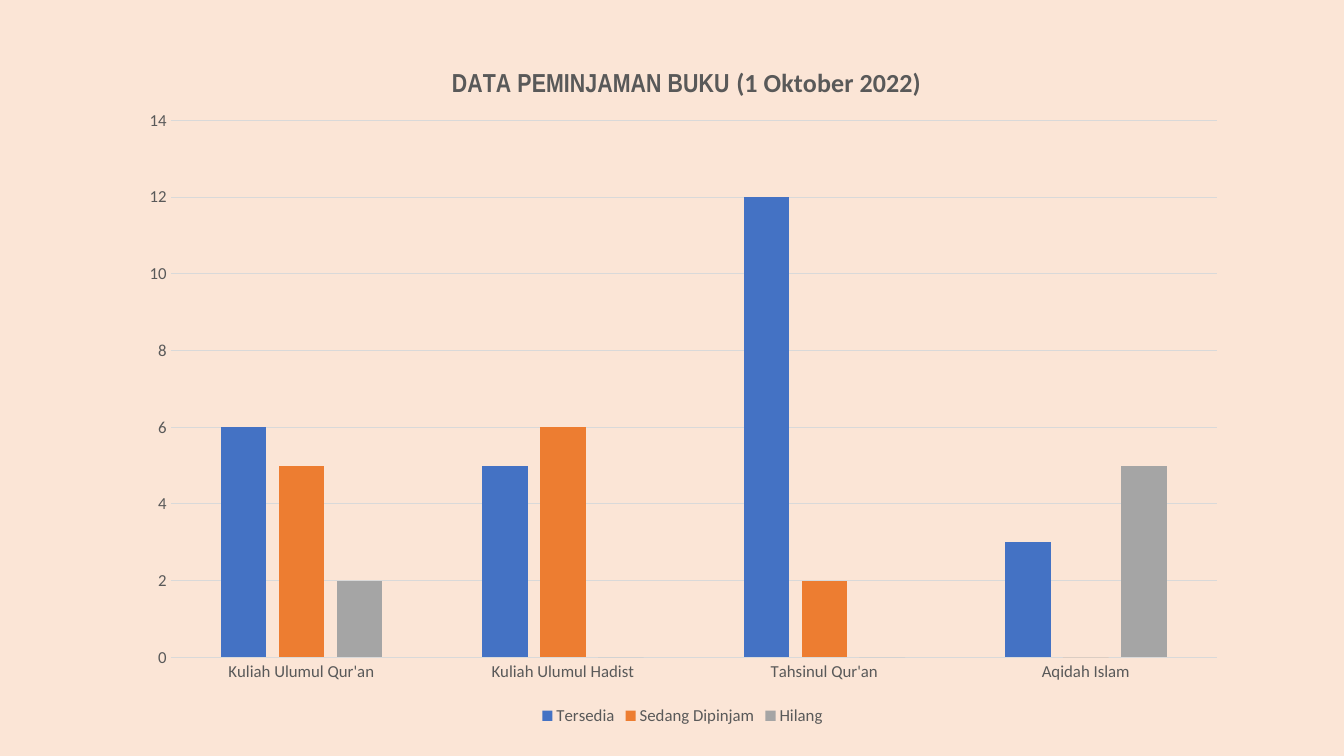
from pptx import Presentation
from pptx.chart.data import CategoryChartData
from pptx.dml.color import RGBColor
from pptx.enum.chart import XL_CHART_TYPE, XL_LEGEND_POSITION, XL_TICK_MARK
from pptx.oxml import parse_xml
from pptx.oxml.ns import qn
from pptx.util import Cm, Pt

TITLE = [("DATA PEMINJAMAN BUKU ", "Arial Narrow"), ("(1 Oktober 2022)", "Calibri")]
BOOKS = ["Kuliah Ulumul Qur'an", "Kuliah Ulumul Hadist", "Tahsinul Qur'an", "Aqidah Islam"]
LOANS = [
    ("Tersedia", (6, 5, 12, 3), "4472C4"),
    ("Sedang Dipinjam", (5, 6, 2, 0), "ED7D31"),
    ("Hilang", (2, 0, 0, 5), "A5A5A5"),
]
THEME = {
    "back": "FBE5D6", "ink": "595959", "grid": "D9D9D9",
    "font": "Calibri", "label": 12, "title": 18.6, "line": 0.75,
}
NS = "http://schemas.openxmlformats.org/drawingml/2006/chart"


def color(name):
    return RGBColor.from_string(THEME.get(name, name))


def style(font, size="label", face=THEME["font"], bold=False):
    font.size = Pt(THEME[size])
    font.name = face
    font.bold = bold
    font.color.rgb = color("ink")


def rule(line):
    line.color.rgb = color("grid")
    line.width = Pt(THEME["line"])


def place(part, after=None, inner=False, **box):
    old = part.find(qn("c:layout"))
    if old is not None:
        part.remove(old)
    target = '<c:layoutTarget val="inner"/>' if inner else ""
    modes = '<c:xMode val="edge"/><c:yMode val="edge"/>'
    sizes = "".join(f'<c:{key} val="{val}"/>' for key, val in box.items())
    node = parse_xml(
        f'<c:layout xmlns:c="{NS}"><c:manualLayout>{target}{modes}{sizes}'
        "</c:manualLayout></c:layout>"
    )
    if after is None:
        part.insert(0, node)
    else:
        part.find(qn(after)).addnext(node)


def add_title(chart):
    chart.has_title = True
    title = chart.chart_title
    title.include_in_layout = False
    para = title.text_frame.paragraphs[0]
    for text, face in TITLE:
        run = para.add_run()
        run.text = text
        style(run.font, "title", face, True)
    place(title._element, "c:tx", x=0.29, y=0.04)


def add_axes(chart):
    for axis in (chart.category_axis, chart.value_axis):
        axis.major_tick_mark = axis.minor_tick_mark = XL_TICK_MARK.NONE
        style(axis.tick_labels.font)
    rule(chart.category_axis.format.line)
    scale = chart.value_axis
    scale.format.line.fill.background()
    scale.minimum_scale, scale.maximum_scale, scale.major_unit = 0, 14, 2
    scale.has_major_gridlines = True
    rule(scale.major_gridlines.format.line)


def add_bars(chart):
    plot = chart.plots[0]
    plot.gap_width, plot.overlap = 219, -27
    plot.vary_by_categories = False
    for bar, (_, _, tint) in zip(plot.series, LOANS):
        bar.format.fill.solid()
        bar.format.fill.fore_color.rgb = color(tint)
        bar.invert_if_negative = False
    area = chart._chartSpace.chart.plotArea
    place(area, inner=True, x=0.04, y=0.124, w=0.94, h=0.772)


def add_legend(chart):
    chart.has_legend = True
    chart.legend.position = XL_LEGEND_POSITION.BOTTOM
    chart.legend.include_in_layout = False
    style(chart.legend.font)


def main():
    deck = Presentation()
    deck.slide_width, deck.slide_height = Cm(33.87), Cm(19.05)
    slide = deck.slides.add_slide(deck.slide_layouts[6])
    slide.background.fill.solid()
    slide.background.fill.fore_color.rgb = color("back")
    data = CategoryChartData()
    data.categories = BOOKS
    for name, counts, _ in LOANS:
        data.add_series(name, counts)
    frame = slide.shapes.add_chart(
        XL_CHART_TYPE.COLUMN_CLUSTERED, Cm(3.18), Cm(0.86), Cm(28.04), Cm(17.53), data
    )
    chart = frame.chart
    style(chart.font)
    for build in (add_title, add_axes, add_bars, add_legend):
        build(chart)
    deck.save("out.pptx")


if __name__ == "__main__":
    main()
